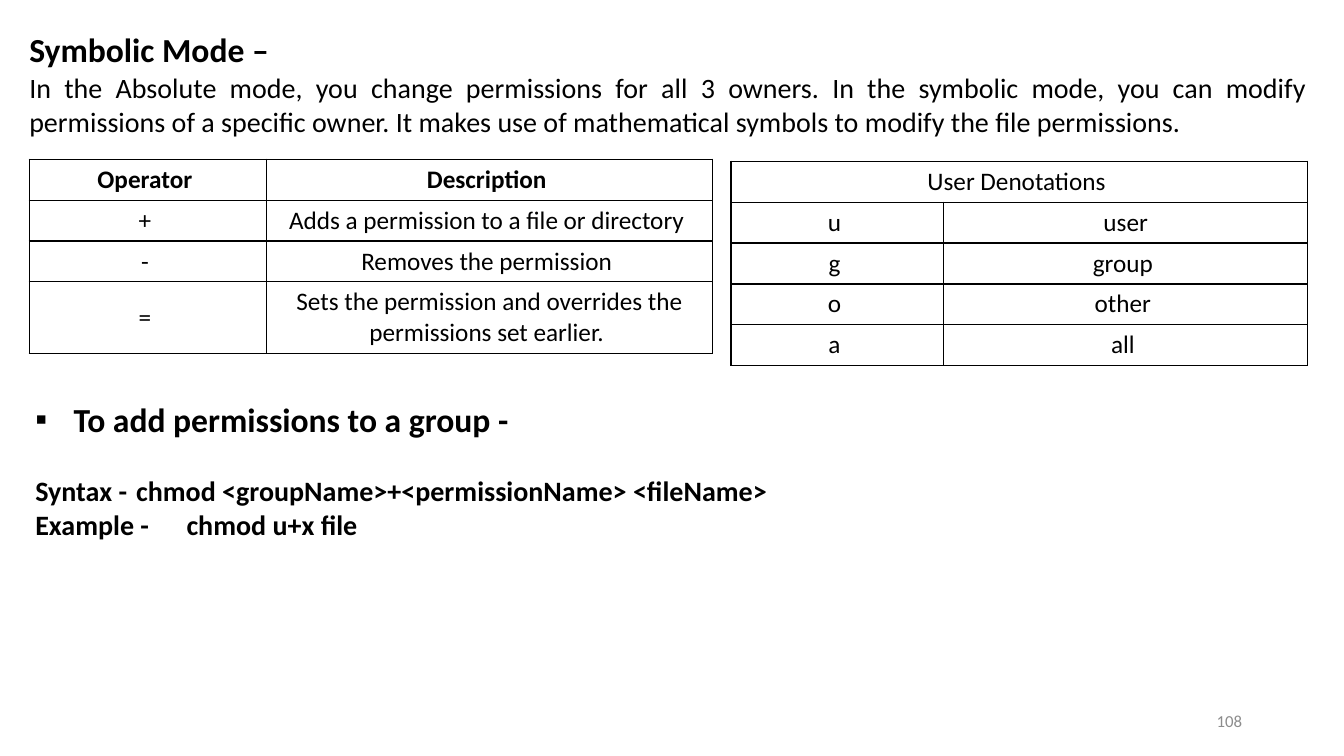
from dataclasses import dataclass

from lxml import etree
from pptx import Presentation
from pptx.dml.color import RGBColor
from pptx.enum.text import MSO_ANCHOR, MSO_AUTO_SIZE, PP_ALIGN
from pptx.oxml.ns import qn
from pptx.util import Inches, Pt

LEFT, CENTER, RIGHT, JUSTIFY = PP_ALIGN.LEFT, PP_ALIGN.CENTER, PP_ALIGN.RIGHT, PP_ALIGN.JUSTIFY
TOP, MIDDLE = MSO_ANCHOR.TOP, MSO_ANCHOR.MIDDLE
NO_AUTOFIT = MSO_AUTO_SIZE.NONE

COLORS = {"text": "000000", "border": "000000", "page_number": "8C8C8C"}
FONT = "Calibri"
TWO_CONTENT_LAYOUT = 3
ROW_HEIGHT = 0.4


@dataclass(frozen=True)
class Line:
    text: str
    size: float
    bold: bool = False
    align: PP_ALIGN = LEFT
    color: str = "text"
    space_before: float = 0
    bullet: str = ""
    tab_stop: float = 0


@dataclass(frozen=True)
class Block:
    left: float
    top: float
    width: float
    height: float
    lines: tuple[Line, ...]
    anchor: MSO_ANCHOR = TOP


@dataclass(frozen=True)
class Grid:
    left: float
    top: float
    columns: tuple[float, ...]
    rows: tuple[tuple[str, ...], ...]
    bold_header: bool = False


HEADING = Block(0.19, 0.24, 12.87, 0.5, (Line("Symbolic Mode –", 24, bold=True),))
EXPLANATION = Block(0.19, 0.65, 12.87, 0.77, (
    Line("In the Absolute mode, you change permissions for all 3 owners. "
         "In the symbolic mode, you can modify permissions of a specific owner. "
         "It makes use of mathematical symbols to modify the file permissions.",
         20, align=JUSTIFY),
))
USAGE = Block(0.25, 3.91, 12.78, 1.51, (
    Line("To add permissions to a group -", 24, bold=True, bullet="▪"),
    Line("Syntax -\tchmod <groupName>+<permissionName> <fileName>", 20, bold=True,
         space_before=24.4, tab_stop=2),
    Line("Example -\tchmod u+x file", 20, bold=True, tab_stop=2),
))
PAGE_NUMBER = Block(9.42, 6.95, 3, 0.4, (
    Line("108", 12, align=RIGHT, color="page_number"),
), MIDDLE)

OPERATORS = Grid(0.29, 1.58, (2.35, 4.43), (
    ("Operator ", "Description "),
    ("+ ", "Adds a permission to a file or directory "),
    ("- ", "Removes the permission "),
    ("= ", "Sets the permission and overrides the permissions set earlier. "),
), bold_header=True)
DENOTATIONS = Grid(7.25, 1.6, (2.11, 3.61), (
    ("User Denotations ",),
    ("u ", "user"),
    ("g ", "group "),
    ("o ", "other "),
    ("a ", "all "),
))


def write_line(paragraph, line: Line) -> None:
    paragraph.alignment = line.align
    paragraph.line_spacing = 1.0
    paragraph.space_before = Pt(line.space_before)
    paragraph.space_after = Pt(0)
    run = paragraph.add_run()
    run.text = line.text
    run.font.name = FONT
    run.font.size = Pt(line.size)
    run.font.bold = line.bold
    run.font.color.rgb = RGBColor.from_string(COLORS[line.color])

    properties = paragraph._p.get_or_add_pPr()
    hanging = Inches(0.38) if line.bullet else 0
    properties.set("marL", str(hanging))
    properties.set("indent", str(-hanging))
    if line.bullet:
        etree.SubElement(properties, qn("a:buChar"), char=line.bullet)
    else:
        etree.SubElement(properties, qn("a:buNone"))
    if line.tab_stop:
        tabs = etree.SubElement(properties, qn("a:tabLst"))
        etree.SubElement(tabs, qn("a:tab"), pos=str(Inches(line.tab_stop)), algn="l")


def fill_block(shape, block: Block) -> None:
    shape.left, shape.top = Inches(block.left), Inches(block.top)
    shape.width, shape.height = Inches(block.width), Inches(block.height)
    frame = shape.text_frame
    frame.word_wrap = True
    frame.auto_size = NO_AUTOFIT
    frame.vertical_anchor = block.anchor
    for index, line in enumerate(block.lines):
        paragraph = frame.add_paragraph() if index else frame.paragraphs[0]
        write_line(paragraph, line)


def style_cell(cell) -> None:
    properties = cell._tc.get_or_add_tcPr()
    for side in ("L", "R", "T", "B"):
        border = etree.SubElement(properties, qn(f"a:ln{side}"), w=str(Pt(1)))
        fill = etree.SubElement(border, qn("a:solidFill"))
        etree.SubElement(fill, qn("a:srgbClr"), val=COLORS["border"])
    cell.fill.background()
    cell.vertical_anchor = MIDDLE


def draw_grid(slide, grid: Grid) -> None:
    table = slide.shapes.add_table(
        len(grid.rows), len(grid.columns), Inches(grid.left), Inches(grid.top),
        Inches(sum(grid.columns)), Inches(ROW_HEIGHT * len(grid.rows)),
    ).table
    table.horz_banding = False
    for column, width in zip(table.columns, grid.columns):
        column.width = Inches(width)
    for cell in table.iter_cells():
        style_cell(cell)
    for row, texts in enumerate(grid.rows):
        if len(texts) < len(grid.columns):
            table.cell(row, 0).merge(table.cell(row, len(grid.columns) - 1))
        for column, text in enumerate(texts):
            bold = grid.bold_header and row == 0
            paragraph = table.cell(row, column).text_frame.paragraphs[0]
            write_line(paragraph, Line(text, 18, bold, CENTER))
    table.rows[len(grid.rows) - 1].height = Inches(
        0.7 if grid is OPERATORS else ROW_HEIGHT)


def main() -> None:
    presentation = Presentation()
    presentation.slide_width, presentation.slide_height = Inches(13.33), Inches(7.5)
    slide = presentation.slides.add_slide(presentation.slide_layouts[TWO_CONTENT_LAYOUT])
    for placeholder, block in zip(slide.placeholders, (HEADING, EXPLANATION, USAGE)):
        fill_block(placeholder, block)
    for grid in (OPERATORS, DENOTATIONS):
        draw_grid(slide, grid)
    fill_block(slide.shapes.add_textbox(0, 0, 0, 0), PAGE_NUMBER)
    presentation.save("out.pptx")


if __name__ == "__main__":
    main()
